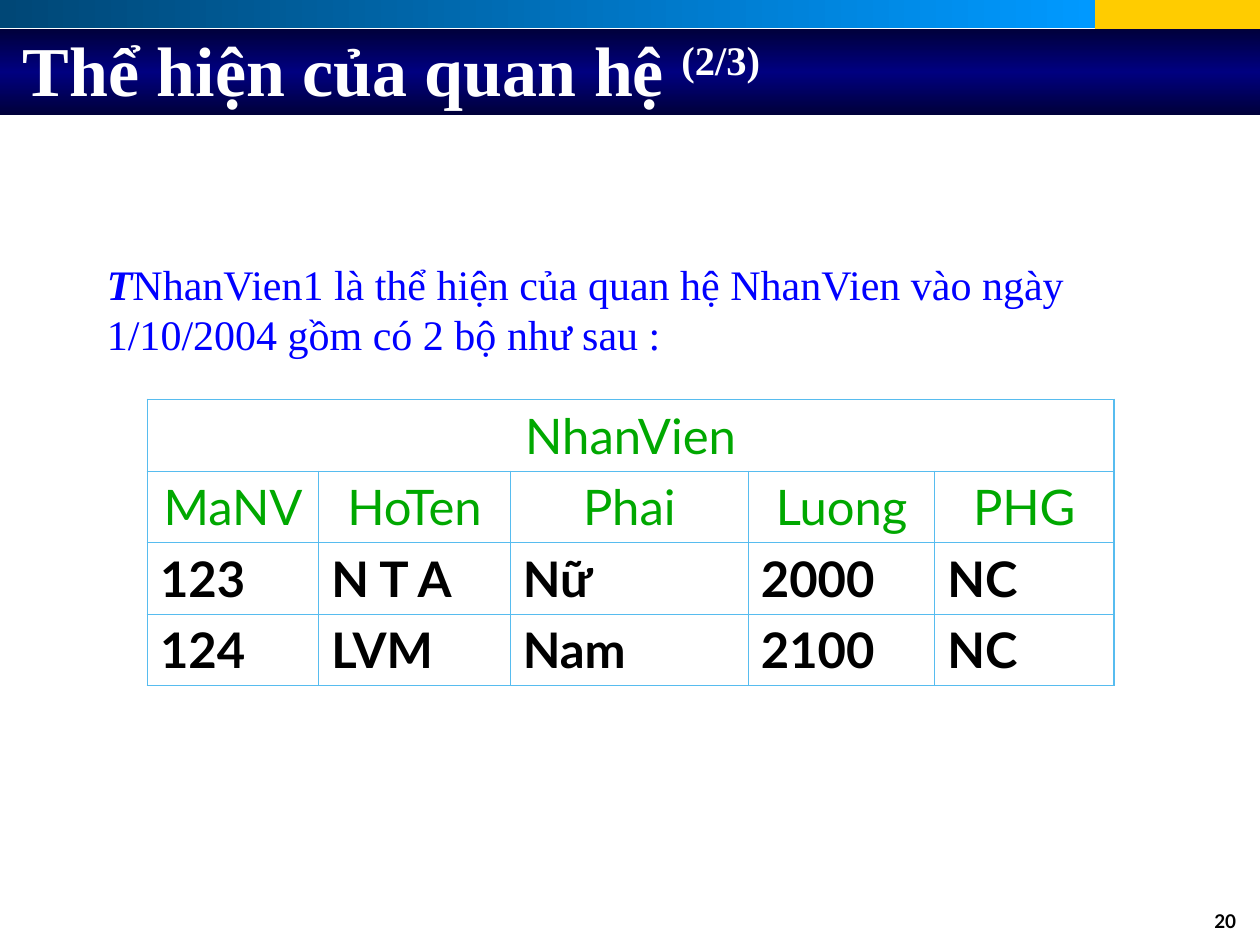
import copy

import pptx
import pptx.dml.color
import pptx.enum.shapes
import pptx.enum.text
import pptx.oxml
import pptx.oxml.ns
import pptx.util

Inches = pptx.util.Inches
RGBColor = pptx.dml.color.RGBColor
ALIGN = pptx.enum.text.PP_ALIGN

WHITE = RGBColor(0xFF, 0xFF, 0xFF)
BLACK = RGBColor(0x00, 0x00, 0x00)
GOLD = RGBColor(0xFF, 0xCC, 0x00)
TEAL = RGBColor(0x00, 0x47, 0x76)
SKY = RGBColor(0x00, 0x99, 0xFF)
MIDNIGHT = RGBColor(0x00, 0x00, 0x3B)
NAVY = RGBColor(0x00, 0x00, 0x80)
BLUE = RGBColor(0x00, 0x00, 0xFF)
GREEN = RGBColor(0x00, 0xA8, 0x00)
BORDER = RGBColor(0x57, 0xBC, 0xEF)

TITLE_FONT = {"name": "Times New Roman", "size": pptx.util.Pt(40), "bold": True}
BODY_FONT = {"name": "Times New Roman", "size": pptx.util.Pt(24)}
HEADER_FONT = {"name": "Lato", "size": pptx.util.Pt(28), "bold": False}
DATA_FONT = {**HEADER_FONT, "bold": True}
NUMBER_FONT = {"name": "Lato", "size": pptx.util.Pt(10.8), "bold": True}

RELATION = "NhanVien"
ROWS = [
    ["MaNV", "HoTen", "Phai", "Luong", "PHG"],
    ["123", "N T A", "Nữ", "2000", "NC"],
    ["124", "LVM", "Nam", "2100", "NC"],
]
COLUMN_WIDTHS = [1.36, 1.52, 1.89, 1.48, 1.42]
OUTER_LINE, INNER_LINE = pptx.util.Pt(1.08), pptx.util.Pt(0.45)


def add_run(paragraph, text, color, font_values):
    run = paragraph.add_run()
    run.text = text
    run.font.color.rgb = color
    for name, value in font_values.items():
        setattr(run.font, name, value)
    return run


def add_band(slide, box, colors, angle=0):
    """Add a rectangle filled with one colour or an evenly spaced gradient."""
    band = slide.shapes.add_shape(
        pptx.enum.shapes.MSO_SHAPE.RECTANGLE, *map(Inches, box))
    band.shadow.inherit = False
    band.line.fill.background()
    if len(colors) == 1:
        band.fill.solid()
        band.fill.fore_color.rgb = colors[0]
        return
    band.fill.gradient()
    band.fill.gradient_angle = angle
    stop_list = band._element.spPr.find(".//" + pptx.oxml.ns.qn("a:gsLst"))
    for _ in colors[2:]:
        stop_list.append(copy.deepcopy(stop_list[0]))
    for index, (stop, color) in enumerate(zip(band.fill.gradient_stops, colors)):
        stop.position = index / (len(colors) - 1)
        stop.color.rgb = color


def add_header(slide, left, top, width):
    strip_width = 8.69
    add_band(slide, (left + strip_width, top, width - strip_width, 0.28), [GOLD])
    add_band(slide, (left, top, strip_width, 0.22), [TEAL, SKY])
    add_band(slide, (left, top + 0.23, width, 0.68), [MIDNIGHT, NAVY, MIDNIGHT], 90)

    title = slide.shapes.title
    slide.shapes._spTree.append(title._element)  # in front of the bands
    title.left, title.top = Inches(left + 0.08), Inches(top + 0.08)
    title.width, title.height = Inches(8.5), Inches(0.92)
    frame = title.text_frame
    frame.auto_size = pptx.enum.text.MSO_AUTO_SIZE.NONE
    frame.vertical_anchor = pptx.enum.text.MSO_ANCHOR.MIDDLE
    paragraph = frame.paragraphs[0]
    paragraph.alignment = ALIGN.LEFT
    add_run(paragraph, "Thể hiện của quan hệ ", WHITE, TITLE_FONT)
    part = add_run(paragraph, "(2/3)", WHITE, TITLE_FONT)
    part.font._element.set("baseline", "30000")


def add_text(slide, box, alignment, color, runs):
    """Add a wrapped text box from pairs of text and font values."""
    frame = slide.shapes.add_textbox(*map(Inches, box)).text_frame
    frame.word_wrap = True
    paragraph = frame.paragraphs[0]
    paragraph.alignment = alignment
    for text, font_values in runs:
        add_run(paragraph, text, color, font_values)


def set_borders(cell, widths):
    """Draw the cell's sides, given line widths keyed L, R, T, B."""
    properties = cell._tc.get_or_add_tcPr()
    for side, width in widths.items():
        properties.append(pptx.oxml.parse_xml(
            f'<a:ln{side} {pptx.oxml.ns.nsdecls("a")} w="{int(width)}"><a:solidFill>'
            f'<a:srgbClr val="{BORDER}"/></a:solidFill></a:ln{side}>'))


def add_relation_table(slide, left, top, width, height):
    row_count, column_count = len(ROWS) + 1, len(COLUMN_WIDTHS)
    table = slide.shapes.add_table(
        row_count, column_count, *map(Inches, (left, top, width, height))).table
    table.first_row = table.horz_banding = False
    for column, column_width in zip(table.columns, COLUMN_WIDTHS):
        column.width = Inches(column_width)
    table.cell(0, 0).merge(table.cell(0, column_count - 1))

    grid = [[RELATION] + [""] * (column_count - 1)] + ROWS
    for row, texts in enumerate(grid):
        is_header = row < 2
        for column, text in enumerate(texts):
            cell = table.cell(row, column)
            on_edge = {
                "L": column == 0,
                "R": column == column_count - 1 or row == 0,
                "T": row == 0,
                "B": row == row_count - 1,
            }
            set_borders(cell, {side: OUTER_LINE if edge else INNER_LINE
                               for side, edge in on_edge.items()})
            cell.fill.background()
            if text:
                paragraph = cell.text_frame.paragraphs[0]
                paragraph.alignment = ALIGN.CENTER if is_header else ALIGN.LEFT
                add_run(paragraph, text, GREEN if is_header else BLACK,
                        HEADER_FONT if is_header else DATA_FONT)


def main():
    presentation = pptx.Presentation()
    presentation.slide_width, presentation.slide_height = Inches(10), Inches(7.5)
    slide = presentation.slides.add_slide(presentation.slide_layouts[5])
    add_header(slide, 0, 0, 10)
    add_text(slide, (7.58, 7.17, 2.33, 0.32), ALIGN.RIGHT, BLACK,
             [("20", NUMBER_FONT)])
    add_relation_table(slide, 1.17, 3.17, 7.67, 2.27)
    add_text(slide, (0.75, 2, 8.33, 0.9), ALIGN.LEFT, BLUE, [
        ("T", {**BODY_FONT, "bold": True, "italic": True}),
        ("NhanVien1 là thể hiện của quan hệ NhanVien vào ngày "
         "1/10/2004 gồm có 2 bộ như sau :", BODY_FONT),
    ])
    presentation.save("out.pptx")


if __name__ == "__main__":
    main()
